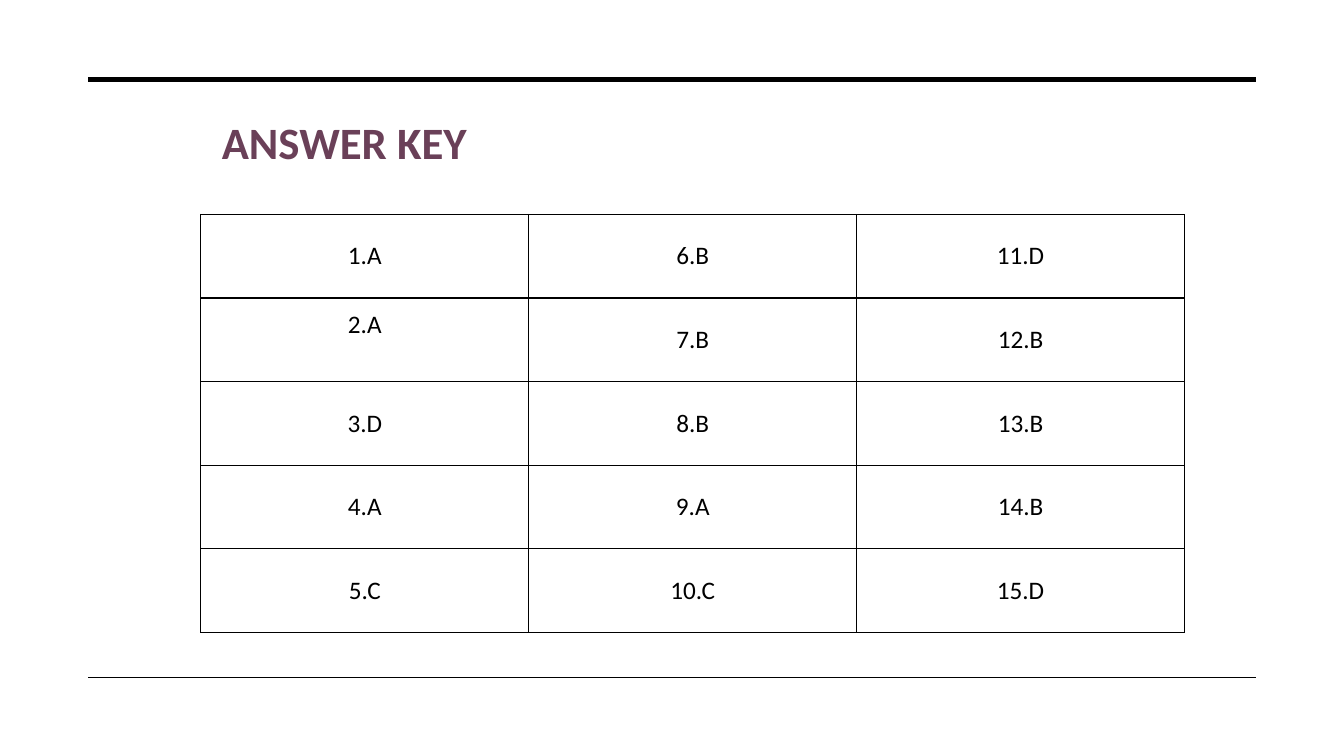
from lxml.etree import SubElement
from pptx import Presentation
from pptx.dml.color import RGBColor
from pptx.enum.shapes import MSO_CONNECTOR
from pptx.enum.text import MSO_ANCHOR, MSO_AUTO_SIZE, PP_ALIGN
from pptx.oxml.ns import qn
from pptx.util import Pt

COLORS = {"ink": "000000", "title": "6A4058"}
ROWS, COLS = 5, 3
ANSWERS = "AADACBBBACDBBBD"  # numbered down each column


class SlideBuilder:
    def __init__(self, slide, font="Calibri"):
        self.s = slide
        self.font = font

    def style(self, p, size, color, bold=False, align=PP_ALIGN.LEFT):
        p.alignment = align
        p.font.name = self.font
        p.font.size = Pt(size)
        p.font.bold = bold
        p.font.color.rgb = RGBColor.from_string(COLORS[color])

    def rule(self, left, right, y, weight):
        ln = self.s.shapes.add_connector(
            MSO_CONNECTOR.STRAIGHT, Pt(left), Pt(y), Pt(right), Pt(y))
        ln.line.color.rgb = RGBColor.from_string(COLORS["ink"])
        ln.line.width = Pt(weight)
        SubElement(ln._element.spPr, qn("a:effectLst"))

    def title(self, text, left, top, width, height):
        sp = self.s.shapes.title
        sp.left, sp.top, sp.width, sp.height = map(Pt, (left, top, width, height))
        tf = sp.text_frame
        tf.text = text
        tf.word_wrap = True
        tf.auto_size = MSO_AUTO_SIZE.NONE
        tf.vertical_anchor = MSO_ANCHOR.TOP
        self.style(tf.paragraphs[0], 32, "title", bold=True)

    def border(self, cell, weight):
        tc_pr = cell._tc.get_or_add_tcPr()
        for side in ("lnL", "lnR", "lnT", "lnB"):
            ln = SubElement(tc_pr, qn(f"a:{side}"), w=str(Pt(weight)))
            fill = SubElement(ln, qn("a:solidFill"))
            SubElement(fill, qn("a:srgbClr"), val=COLORS["ink"])

    def answer_table(self, left, top, col_width, row_height):
        table = self.s.shapes.add_table(
            ROWS, COLS, Pt(left), Pt(top),
            Pt(col_width * COLS), Pt(row_height * ROWS)).table
        table.first_row = table.horz_banding = False
        for i, answer in enumerate(ANSWERS):
            col, row = divmod(i, ROWS)
            cell = table.cell(row, col)
            cell.text = f"{i + 1}.{answer}"
            cell.vertical_anchor = MSO_ANCHOR.MIDDLE
            self.border(cell, 1)
            cell.fill.background()
            self.style(cell.text_frame.paragraphs[0], 18, "ink",
                       align=PP_ALIGN.CENTER)
        # Answer 2 sits above the middle of its cell
        table.cell(1, 0).margin_bottom = Pt(25.6)


def main():
    prs = Presentation()
    prs.slide_width, prs.slide_height = Pt(960), Pt(540)
    b = SlideBuilder(prs.slides.add_slide(prs.slide_layouts[5]))
    b.rule(63, 897, 57, 3.5)
    b.rule(63, 897, 483.8, 1)
    b.answer_table(143.5, 153.2, 234.2, 59.7)
    b.title("ANSWER KEY", 151.2, 78.5, 667.4, 46)
    prs.save("out.pptx")


if __name__ == "__main__":
    main()
